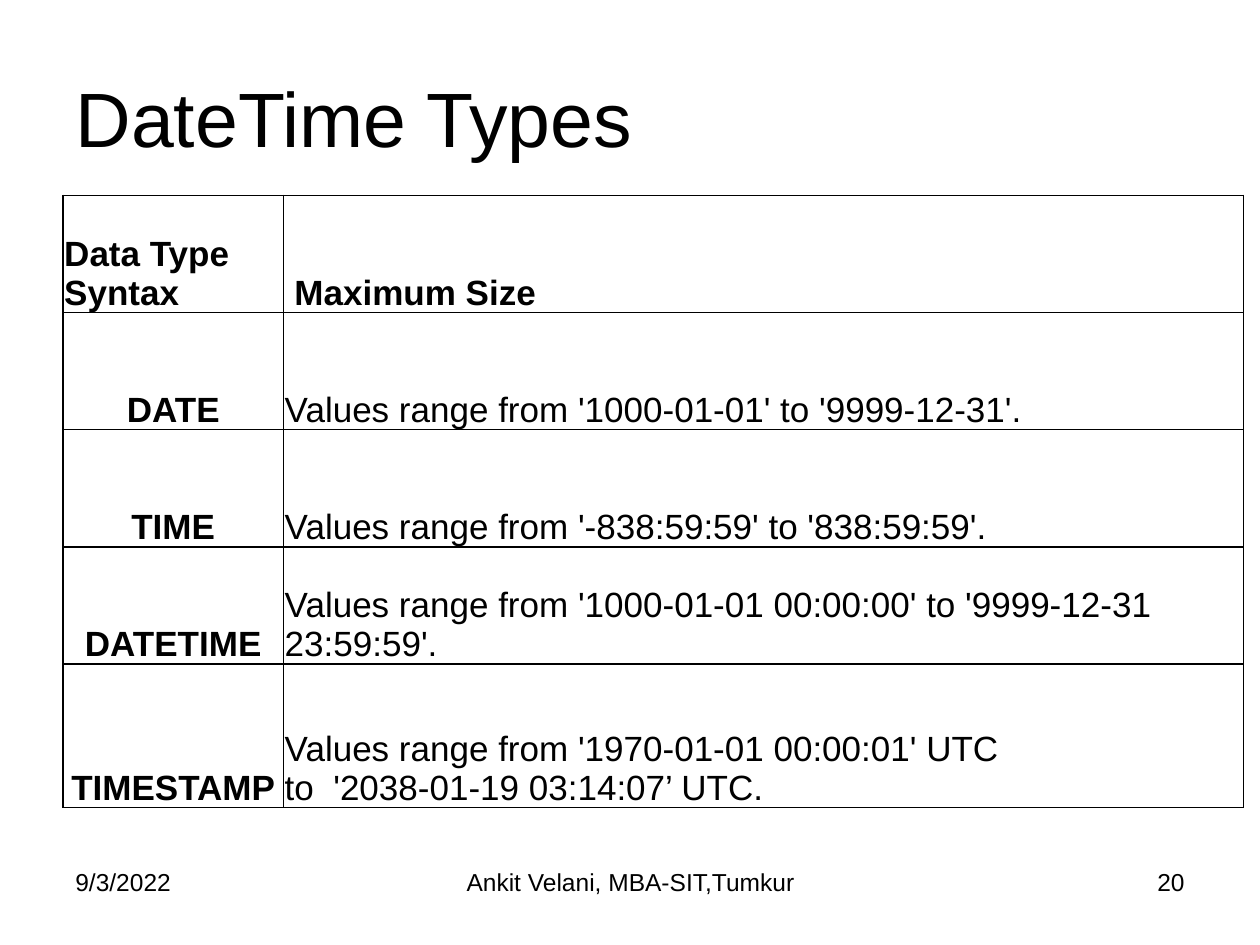
import lxml.etree
import pptx
import pptx.dml.color
import pptx.enum.text
import pptx.oxml.ns
import pptx.util

Inches = pptx.util.Inches
Pt = pptx.util.Pt
ALIGN = pptx.enum.text.PP_ALIGN
ANCHOR = pptx.enum.text.MSO_ANCHOR

BLACK = pptx.dml.color.RGBColor(0, 0, 0)
WHITE = pptx.dml.color.RGBColor(255, 255, 255)

TYPES = [
    ("DATE", "Values range from '1000-01-01' to '9999-12-31'."),
    ("TIME", "Values range from '-838:59:59' to '838:59:59'."),
    ("DATETIME", "Values range from '1000-01-01 00:00:00' to '9999-12-31 23:59:59'."),
    ("TIMESTAMP", "Values range from '1970-01-01 00:00:01' UTC\n"
                  "to  '2038-01-19 03:14:07’ UTC."),
]


def write(frame, text, size=20, bold=False, align=ALIGN.LEFT, color=BLACK, font="Arial"):
    """Fill a text frame, one paragraph for each line of text."""
    frame.text = text
    for para in frame.paragraphs:
        para.alignment = align
        for span in para.runs:
            span.font.name = font
            span.font.size = Pt(size)
            span.font.bold = bold
            span.font.color.rgb = color


def add_borders(cell, color=BLACK, width=1):
    properties = cell._tc.get_or_add_tcPr()
    qn = pptx.oxml.ns.qn
    for index, side in enumerate(("a:lnL", "a:lnR", "a:lnT", "a:lnB")):
        line = lxml.etree.Element(qn(side), w=str(Pt(width)))
        fill = lxml.etree.SubElement(line, qn("a:solidFill"))
        lxml.etree.SubElement(fill, qn("a:srgbClr"), val=str(color))
        properties.insert(index, line)


class TypesPage:
    footer_top, footer_height, footer_size = 6.83, 0.52, 14

    def __init__(self, deck):
        self.page = deck.slides.add_slide(deck.slide_layouts[5])

    def title(self, text, left, top, width, height):
        box = self.page.shapes.title
        box.left, box.top = Inches(left), Inches(top)
        box.width, box.height = Inches(width), Inches(height)
        box.text_frame.vertical_anchor = ANCHOR.MIDDLE
        write(box.text_frame, text, size=44)

    def footer(self, text, left, width, align):
        box = self.page.shapes.add_textbox(
            Inches(left), Inches(self.footer_top), Inches(width), Inches(self.footer_height))
        box.text_frame.word_wrap = True
        write(box.text_frame, text, size=self.footer_size, align=align)

    def table(self, rows, left, top, widths, heights):
        table = self.page.shapes.add_table(
            len(rows), len(widths), Inches(left), Inches(top),
            Inches(sum(widths)), Inches(sum(heights))).table
        for column, width in zip(table.columns, widths):
            column.width = Inches(width)
        for row, height in zip(table.rows, heights):
            row.height = Inches(height)
        for r, texts in enumerate(rows):
            for c, text in enumerate(texts):
                header, label = r == 0, c == 0
                align = ALIGN.CENTER if label and not header else ALIGN.LEFT
                self.cell(table.cell(r, c), text, bold=header or label, align=align)

    def cell(self, cell, text, **style):
        cell.fill.solid()
        cell.fill.fore_color.rgb = WHITE
        cell.vertical_anchor = ANCHOR.BOTTOM
        cell.margin_left = cell.margin_right = cell.margin_top = Inches(0.01)
        cell.margin_bottom = 0
        write(cell.text_frame, text, **style)
        add_borders(cell)


def main():
    deck = pptx.Presentation()
    deck.slide_width, deck.slide_height = Inches(10), Inches(7.5)
    page = TypesPage(deck)
    page.title("DateTime Types", 0.5, 0.3, 9, 1.25)
    page.footer("9/3/2022", 0.5, 2.33, ALIGN.LEFT)
    page.footer("Ankit Velani, MBA-SIT,Tumkur", 3.42, 3.17, ALIGN.CENTER)
    page.footer("20", 7.17, 2.33, ALIGN.RIGHT)
    page.table([("Data Type Syntax", " Maximum Size")] + TYPES, 0.5, 1.55,
               widths=[1.75, 7.62], heights=[0.93] * 4 + [1.14])
    deck.save("out.pptx")


if __name__ == "__main__":
    main()
